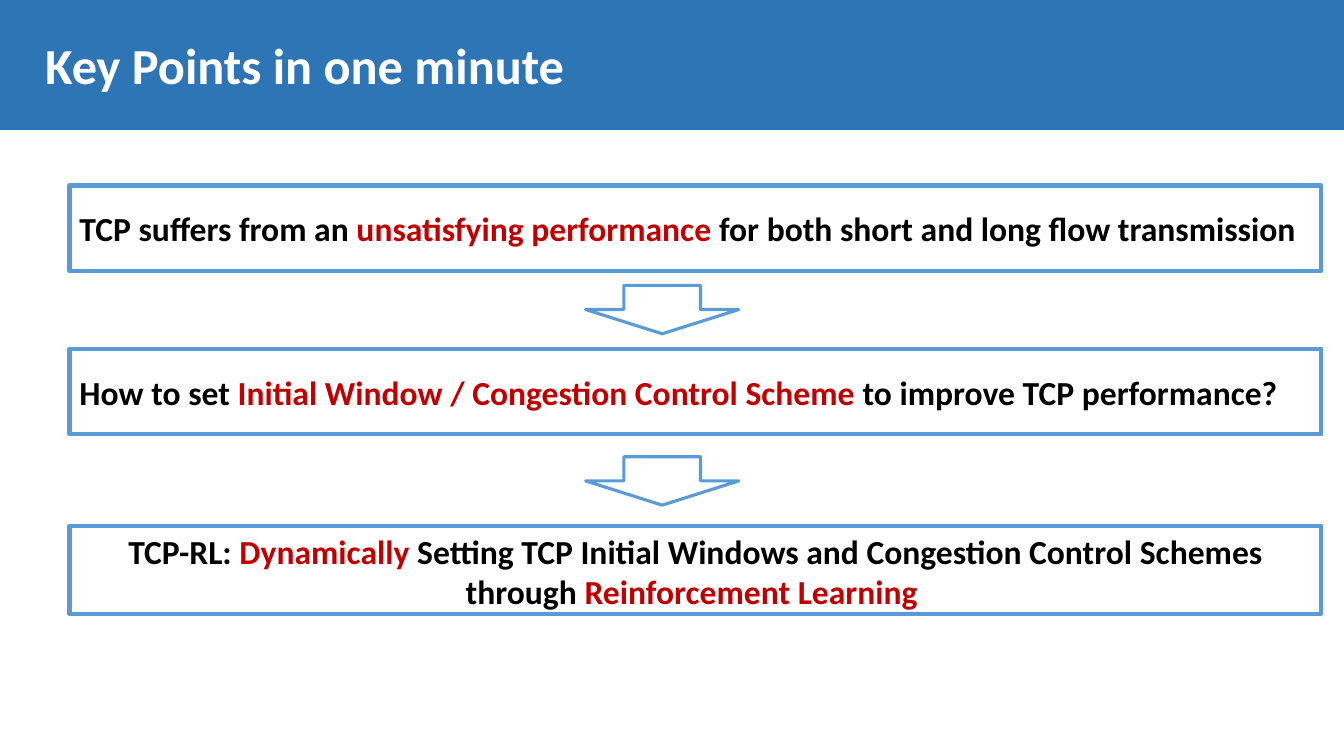
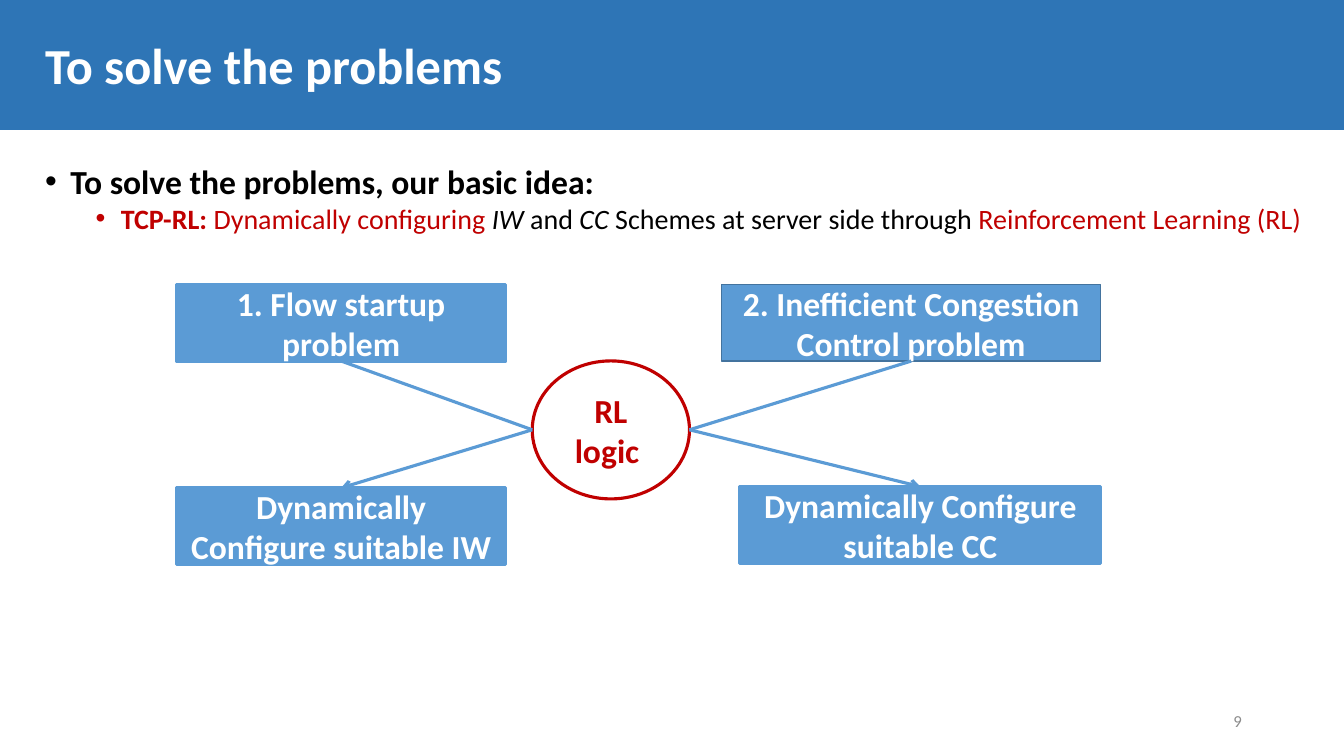
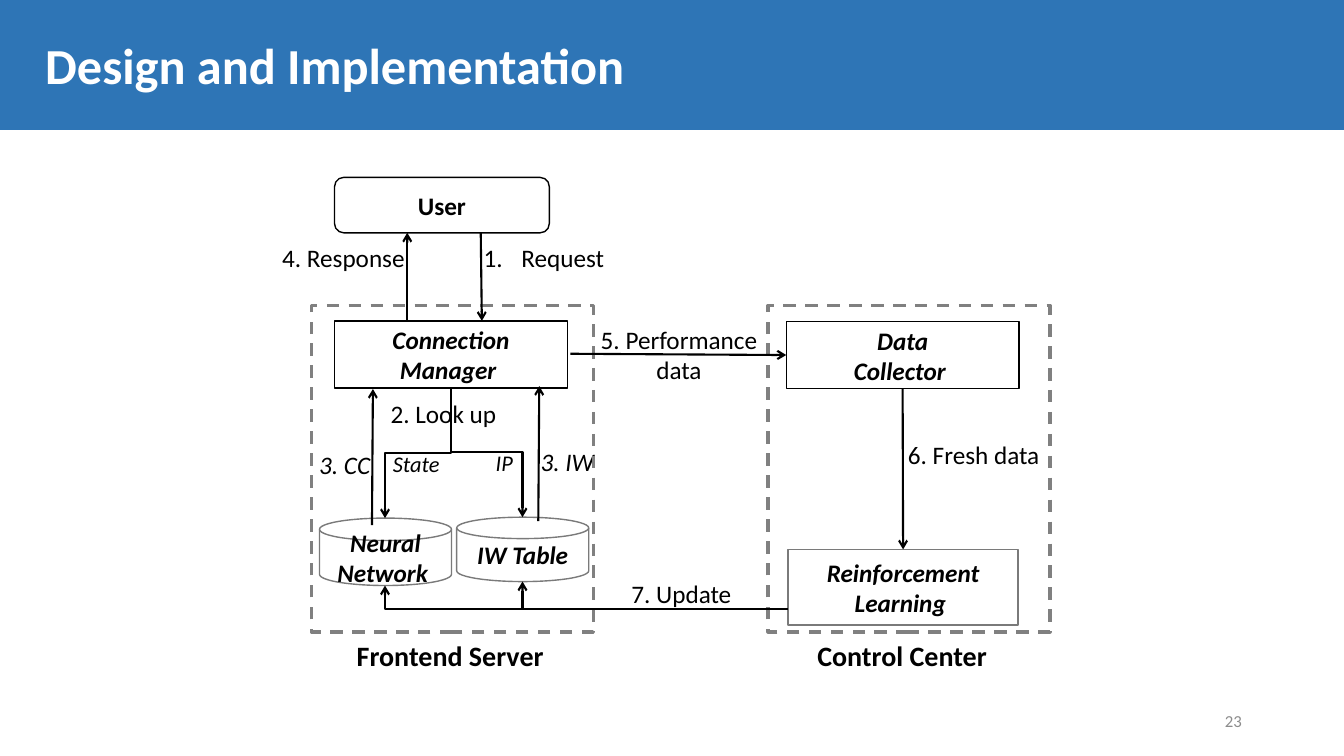
import dataclasses

import lxml.etree
import pptx
import pptx.dml.color
import pptx.enum.dml
import pptx.enum.shapes
import pptx.enum.text
import pptx.oxml.ns
import pptx.util

Pt = pptx.util.Pt
Shape = pptx.enum.shapes.MSO_SHAPE
Connector = pptx.enum.shapes.MSO_CONNECTOR
Align = pptx.enum.text.PP_ALIGN
Anchor = pptx.enum.text.MSO_ANCHOR
AutoSize = pptx.enum.text.MSO_AUTO_SIZE
qn = pptx.oxml.ns.qn
TOP, LEFT, BOTTOM = 0, 1, 2


@dataclasses.dataclass(frozen=True)
class Theme:
    font: str = "Calibri"
    band: str = "2E75B6"
    blue: str = "5B9BD5"
    dark_blue: str = "43739E"
    red: str = "C00000"
    black: str = "000000"
    white: str = "FFFFFF"
    frame_gray: str = "808080"
    outline_gray: str = "7A7A7A"
    number_gray: str = "8C8C8C"
    title_size: float = 36
    large: float = 24
    medium: float = 20
    label: float = 18
    small: float = 16
    number_size: float = 12


THEME = Theme()


def rgb(color):
    return pptx.dml.color.RGBColor.from_string(color)


def red(text, **changes):
    """A run of text in the emphasis colour."""
    return text, {"color": THEME.red, **changes}


# Text
def write_text(frame, paragraphs, size=THEME.label, color=THEME.black, bold=False,
               italic=False, align=Align.LEFT, anchor=Anchor.TOP, wrap=True,
               grow=False, spacing=None):
    """Each paragraph is a string or a list of strings and (text, changes) pairs."""
    frame.word_wrap = wrap
    frame.vertical_anchor = anchor
    frame.auto_size = AutoSize.SHAPE_TO_FIT_TEXT if grow else AutoSize.NONE
    for index, runs in enumerate(paragraphs):
        para = frame.add_paragraph() if index else frame.paragraphs[0]
        para.alignment = align
        if spacing:
            para.line_spacing = spacing
        for run in [runs] if isinstance(runs, str) else runs:
            text, changes = (run, {}) if isinstance(run, str) else run
            look = {"size": size, "color": color, "bold": bold, "italic": italic, **changes}
            span = para.add_run()
            span.text = text
            span.font.name = THEME.font
            span.font.size = Pt(look["size"])
            span.font.bold = look["bold"]
            span.font.italic = look["italic"]
            span.font.color.rgb = rgb(look["color"])


def add_text(slide, area, paragraphs, **text_format):
    box = slide.shapes.add_textbox(*map(Pt, area))
    write_text(box.text_frame, paragraphs, **text_format)
    return box


def add_label(slide, area, text, **text_format):
    """A one-line caption that fits its text."""
    return add_text(slide, area, [text], **{"wrap": False, "grow": True, **text_format})


def set_bullet(para, margin, hanging, tag, **attributes):
    properties = para._p.get_or_add_pPr()
    properties.set("marL", str(Pt(margin)))
    properties.set("indent", str(-Pt(hanging)))
    font = lxml.etree.SubElement(properties, qn("a:buFont"))
    font.set("typeface", "Arial" if tag == "a:buChar" else "+mj-lt")
    lxml.etree.SubElement(properties, qn(tag), **attributes)


# Shapes
def add_box(slide, area, paragraphs=(), kind=Shape.RECTANGLE, fill=None, line=None,
            width=1, dashed=False, **text_format):
    box = slide.shapes.add_shape(kind, *map(Pt, area))
    box.shadow.inherit = False
    if fill:
        box.fill.solid()
        box.fill.fore_color.rgb = rgb(fill)
    else:
        box.fill.background()
    if line:
        box.line.color.rgb = rgb(line)
        box.line.width = Pt(width)
        if dashed:
            box.line.dash_style = pptx.enum.dml.MSO_LINE.DASH
    else:
        box.line.fill.background()
    if paragraphs:
        write_text(box.text_frame, paragraphs,
                   **{"align": Align.CENTER, "anchor": Anchor.MIDDLE, **text_format})
    return box


# Connectors
def add_line(slide, start, end, color=THEME.black, width=1.5, arrow=True,
             kind=Connector.STRAIGHT, begin_at=None, end_at=None):
    line = slide.shapes.add_connector(kind, *map(Pt, (*start, *end)))
    line.line.color.rgb = rgb(color)
    line.line.width = Pt(width)
    if arrow:
        lxml.etree.SubElement(line.line._get_or_add_ln(), qn("a:tailEnd"), type="arrow")
    lxml.etree.SubElement(line._element.spPr, qn("a:effectLst"))
    if begin_at:
        line.begin_connect(*begin_at)
    if end_at:
        line.end_connect(*end_at)
    return line


def add_step_down(slide, start, end):
    """Arrow that runs down, across and down again."""
    (x1, y1), (x2, y2) = start, end
    center_x, center_y = (x1 + x2) / 2, (y1 + y2) / 2
    half_width, half_height = (y2 - y1) / 2, abs(x2 - x1) / 2
    line = add_line(slide, (center_x - half_width, center_y - half_height),
                    (center_x + half_width, center_y + half_height), kind=Connector.ELBOW)
    frame = line._element.spPr.find(qn("a:xfrm"))
    frame.set("rot", str((270 if x2 > x1 else 90) * 60000))
    if x2 > x1:
        frame.set("flipH", "1")


def add_corner_up(slide, start, end):
    """Arrow that runs left, then up."""
    line = add_line(slide, end, start, kind=Connector.ELBOW)
    line._element.spPr.find(qn("a:xfrm")).set("rot", str(180 * 60000))
    line._element.spPr.find(qn("a:prstGeom")).set("prst", "bentConnector2")


# Shared slide parts
def add_page(deck, title, number=None):
    slide = deck.slides.add_slide(deck.slide_layouts[6])
    add_box(slide, (0, 92.9, 960, 447.1), fill=THEME.white)
    add_text(slide, (25.2, 20.2, 895, 56.9), [title], size=THEME.title_size,
             color=THEME.white, bold=True, anchor=Anchor.MIDDLE, spacing=0.9)
    if number:
        add_text(slide, (678.2, 500.4, 216, 28.8), [number], size=THEME.number_size,
                 color=THEME.number_gray, align=Align.RIGHT, anchor=Anchor.MIDDLE)
    return slide


def build_key_points(deck):
    slide = add_page(deck, "Key Points in one minute")
    statements = [
        (132.5, 61.2, Align.LEFT, Anchor.MIDDLE,
         ["TCP suffers from an ", red("unsatisfying performance"),
          " for both short and long flow transmission"]),
        (249.1, 61.2, Align.LEFT, Anchor.MIDDLE,
         ["How to set ", red("Initial Window / Congestion Control Scheme "),
          "to improve TCP performance?"]),
        (375.8, 62.6, Align.CENTER, Anchor.TOP,
         ["TCP-RL: ", red("Dynamically"),
          " Setting TCP Initial Windows and Congestion Control Schemes through ",
          red("Reinforcement Learning ")]),
    ]
    for top, height, align, anchor, runs in statements:
        add_box(slide, (49.7, top, 894.2, height), [runs], line=THEME.blue, width=3,
                size=THEME.large, bold=True, align=align, anchor=anchor)
    for top in (203.8, 326.2):
        add_box(slide, (418.3, top, 109.4, 34.6), kind=Shape.DOWN_ARROW,
                line=THEME.blue, width=2.25)


def build_solution(deck):
    slide = add_page(deck, "To solve the problems", "9")
    plain = {"bold": False}
    slanted = {"bold": False, "italic": True}
    idea = add_text(slide, (25.2, 111.6, 922.3, 385.2), [
        ["To solve the problems, our basic idea:"],
        [(text, {"size": THEME.medium, **changes}) for text, changes in (
            red("TCP-RL: "), red("Dynamically configuring ", **plain),
            ("IW ", slanted), ("and ", plain), ("CC ", slanted),
            ("Schemes at server side through ", plain),
            red("Reinforcement Learning (RL)", **plain))],
    ], size=THEME.large, bold=True)
    for para, margin in zip(idea.text_frame.paragraphs, (18, 54)):
        set_bullet(para, margin, 18, "a:buChar", char="•")
    idea.text_frame.paragraphs[1].level = 1

    # Problems above, remedies below, learning logic between them
    def block(left, top, width, text, line=THEME.blue, line_width=2.25):
        return add_box(slide, (left, top, width, 54.7), [text], fill=THEME.blue, line=line,
                       width=line_width, size=THEME.large, color=THEME.white, bold=True)

    startup = block(126, 203.2, 235.4, "1. Flow startup problem")
    congestion = block(515.5, 203.2, 270.7, "2. Inefficient Congestion Control problem",
                       THEME.dark_blue, 1)
    window = block(126, 348.5, 235.4, "Dynamically Configure suitable IW")
    control = block(528.5, 347.6, 257.8, "Dynamically Configure suitable CC")
    add_box(slide, (380.2, 257.8, 112.3, 98.6), ["RL logic "], kind=Shape.OVAL,
            line=THEME.red, width=2.25, size=THEME.large, color=THEME.red, bold=True)
    for hub, problem, remedy in (((380.2, 307), startup, window),
                                 ((492.5, 307), congestion, control)):
        add_line(slide, hub, hub, THEME.blue, 2.25, arrow=False, begin_at=(problem, BOTTOM))
        add_line(slide, hub, hub, THEME.blue, 2.25, end_at=(remedy, TOP))


def build_design(deck):
    slide = add_page(deck, "Design and Implementation", "23")
    strong = {"bold": True, "italic": True}
    solid = {"fill": THEME.white, "line": THEME.black}

    # Components
    add_box(slide, (375.1, 321.1, 60.5, 16.6), ["3. IW"], kind=Shape.ROUNDED_RECTANGLE,
            fill=THEME.white, line=THEME.white, italic=True)
    add_box(slide, (239, 229.2, 166.3, 48), ["Connection", "Manager "], **solid, **strong)
    collector = add_box(slide, (561.6, 229.6, 166.3, 48), ["Data", "Collector "],
                        **solid, **strong)
    add_box(slide, (239, 126.7, 153.4, 39.6), ["User"], kind=Shape.ROUNDED_RECTANGLE,
            bold=True, **solid)
    learning = add_box(slide, (563, 392.4, 164.2, 54), ["Reinforcement Learning "],
                       line=THEME.outline_gray, **strong)
    for left, top, height, text in ((326.2, 369.4, 46, "IW Table"),
                                    (228.2, 370.1, 48.2, "Neural Network ")):
        add_box(slide, (left, top, 94.3, height), [text],
                kind=Shape.FLOWCHART_MAGNETIC_DISK, line=THEME.outline_gray, **strong)

    # Dashed groups with their names
    for left, name_left, name_width, name in ((222.5, 247.7, 149.8, "Frontend Server"),
                                              (548.6, 576.7, 136.8, "Control Center")):
        add_box(slide, (left, 218.2, 201.4, 233.3), line=THEME.frame_gray, width=2.25,
                dashed=True)
        add_label(slide, (name_left, 452.2, name_width, 31.7), name,
                  size=THEME.medium, bold=True)

    # Straight arrows
    for start, end in (((343.4, 166.3), (344.2, 229.2)), ((290.9, 229.2), (290.9, 166.3)),
                       ((384.5, 372.2), (385.2, 275.8)), ((265.7, 375.1), (266.4, 277.9))):
        add_line(slide, start, end)
    add_line(slide, (407.5, 252.7), (561.6, 253.6), end_at=(collector, LEFT))
    add_line(slide, (644.8, 277.6), (645.1, 392.4), begin_at=(collector, BOTTOM),
             end_at=(learning, TOP))

    # Bent arrows
    add_step_down(slide, (322.2, 276.8), (373.2, 369.4))
    add_step_down(slide, (322.2, 276.8), (275, 370.1))
    add_corner_up(slide, (561.6, 434.9), (373.2, 415.4))
    add_corner_up(slide, (563, 434.9), (275, 418.3))

    # Step captions
    request = add_label(slide, (337.7, 169.9, 101.5, 28.8), "Request", align=Align.CENTER)
    set_bullet(request.text_frame.paragraphs[0], 27, 27, "a:buAutoNum", type="arabicPeriod")
    add_label(slide, (194.4, 169.9, 107.3, 28.8), "4. Response")
    add_label(slide, (419.8, 228.2, 130.3, 51.1), "5. Performance data",
              align=Align.CENTER, wrap=True)
    for left, top, width, text in ((640.8, 310.3, 109.4, "6. Fresh data"),
                                   (443.5, 409.7, 86.4, "7. Update"),
                                   (271.4, 280.8, 90.7, "2. Look up")):
        add_label(slide, (left, top, width, 28.8), text, align=Align.CENTER)
    for left, top, width, text in ((347, 317.5, 26.6, "IP"), (273.6, 318.2, 48.2, "State")):
        add_label(slide, (left, top, width, 26.6), text, size=THEME.small, italic=True)
    add_box(slide, (216, 323.3, 60.5, 16.6), ["3. CC"], kind=Shape.ROUNDED_RECTANGLE,
            italic=True)


def main():
    deck = pptx.Presentation()
    deck.slide_width, deck.slide_height = Pt(960), Pt(540)
    backdrop = deck.slide_master.background.fill
    backdrop.solid()
    backdrop.fore_color.rgb = rgb(THEME.band)
    build_key_points(deck)
    build_solution(deck)
    build_design(deck)
    deck.save("out.pptx")


if __name__ == "__main__":
    main()
